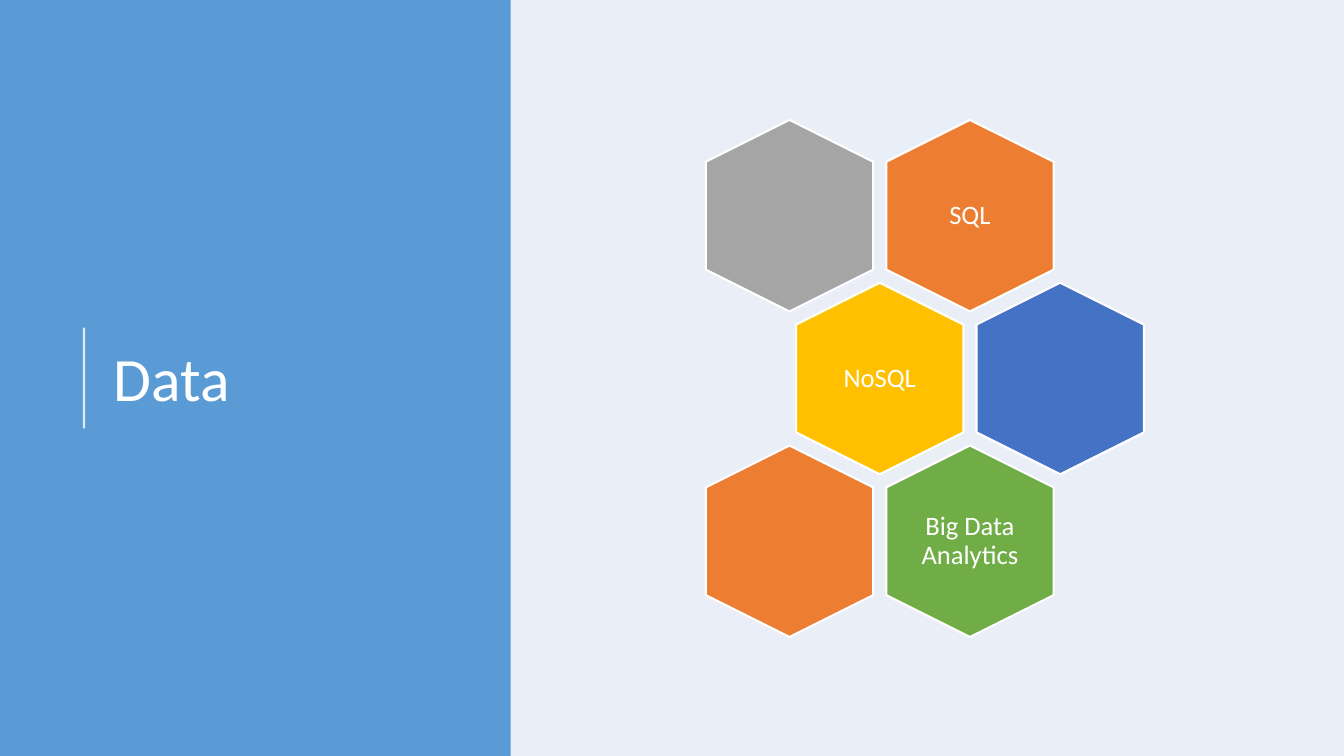
from pptx import Presentation
from pptx.dml.color import RGBColor
from pptx.enum.shapes import MSO_CONNECTOR, MSO_SHAPE
from pptx.enum.text import MSO_ANCHOR, MSO_AUTO_SIZE, PP_ALIGN
from pptx.oxml.ns import qn
from pptx.util import Inches, Pt
from lxml import etree

RECTANGLE, HEXAGON = MSO_SHAPE.RECTANGLE, MSO_SHAPE.HEXAGON
STRAIGHT = MSO_CONNECTOR.STRAIGHT
MIDDLE, NO_FIT = MSO_ANCHOR.MIDDLE, MSO_AUTO_SIZE.NONE
LEFT, CENTER = PP_ALIGN.LEFT, PP_ALIGN.CENTER

WHITE = RGBColor(0xFF, 0xFF, 0xFF)
PALE = RGBColor(0xEA, 0xEF, 0xF7)
SKY = RGBColor(0x5B, 0x9B, 0xD5)
ORANGE = RGBColor(0xED, 0x7D, 0x31)
GRAY = RGBColor(0xA5, 0xA5, 0xA5)
GOLD = RGBColor(0xFF, 0xC0, 0x00)
BLUE = RGBColor(0x44, 0x72, 0xC4)
GREEN = RGBColor(0x70, 0xAD, 0x47)

FONT = "Calibri"
WIDTH, HEIGHT = Inches(13.33), Inches(7.5)
PANEL_WIDTH = round(WIDTH * 0.38)

# Honeycomb: centre of the first cell, and the steps between cells
FIRST_X, FIRST_Y = Inches(7.83), Inches(2.14)
COLUMN_STEP, ROW_STEP = Inches(1.79), Inches(1.615)
HEX_LENGTH, HEX_BREADTH = Inches(1.9), Inches(1.66)
LABEL_WIDTH, LABEL_HEIGHT = Inches(1.14), Inches(1.31)

# (column, row, colour, label); half columns make the staggered row
CELLS = [
    (1, 0, ORANGE, "SQL"),
    (0, 0, GRAY, ""),
    (0.5, 1, GOLD, "NoSQL"),
    (1.5, 1, BLUE, ""),
    (1, 2, GREEN, "Big Data Analytics"),
    (0, 2, ORANGE, ""),
]


def apply_format(target, values):
    for name, value in values.items():
        setattr(target, name, value)


def centred(x, y, width, height):
    """Return left, top, width and height of a box centred on (x, y)."""
    return round(x - width / 2), round(y - height / 2), width, height


def write_text(box, text, size, align):
    frame = box.text_frame
    apply_format(frame, {"word_wrap": True, "auto_size": NO_FIT,
                         "vertical_anchor": MIDDLE})
    para = frame.paragraphs[0]
    apply_format(para, {"alignment": align, "line_spacing": 0.9})
    span = para.add_run()
    span.text = text
    apply_format(span.font, {"name": FONT, "size": Pt(size)})
    span.font.color.rgb = WHITE


def add_filled(shapes, kind, bounds, color):
    shape = shapes.add_shape(kind, *bounds)
    shape.shadow.inherit = False
    shape.fill.solid()
    shape.fill.fore_color.rgb = color
    shape.line.fill.background()
    return shape


def add_panel(page):
    panel = add_filled(page.shapes, RECTANGLE, (0, 0, PANEL_WIDTH, HEIGHT), SKY)
    title = page.shapes.title
    title.element.addprevious(panel.element)


def add_accent_line(page):
    x = WIDTH // 16
    accent = page.shapes.add_connector(STRAIGHT, x, Inches(4.25), x, Inches(3.25))
    accent.line.color.rgb = WHITE
    accent.line.width = Pt(1.5)
    color = accent.element.spPr.find(".//" + qn("a:srgbClr"))
    etree.SubElement(color, qn("a:alpha"), val="80000")
    etree.SubElement(accent.element.spPr, qn("a:effectLst"))


def add_title(page, text):
    title = page.shapes.title
    apply_format(title, {"left": Inches(1.03), "top": Inches(0.78),
                         "width": Inches(4.05), "height": Inches(6.02)})
    write_text(title, text, 44, LEFT)


def add_cell(cluster, column, row, color, label):
    x, y = FIRST_X + column * COLUMN_STEP, FIRST_Y + row * ROW_STEP
    cell = add_filled(cluster.shapes, HEXAGON,
                      centred(x, y, HEX_LENGTH, HEX_BREADTH), color)
    cell.rotation = 90
    cell.adjustments[0] = 0.25
    cell.line.color.rgb = WHITE
    cell.line.width = Pt(1.5)
    if label:
        box = cluster.shapes.add_textbox(*centred(x, y, LABEL_WIDTH, LABEL_HEIGHT))
        sides = ("left", "top", "right", "bottom")
        apply_format(box.text_frame,
                     {f"margin_{side}": Inches(0.08) for side in sides})
        write_text(box, label, 19, CENTER)


def main():
    deck = Presentation()
    apply_format(deck, {"slide_width": WIDTH, "slide_height": HEIGHT})
    page = deck.slides.add_slide(deck.slide_layouts[5])
    page.background.fill.solid()
    page.background.fill.fore_color.rgb = PALE
    add_panel(page)
    add_accent_line(page)
    add_title(page, "Data")
    cluster = page.shapes.add_group_shape()
    for cell in CELLS:
        add_cell(cluster, *cell)
    deck.save("out.pptx")


if __name__ == "__main__":
    main()
